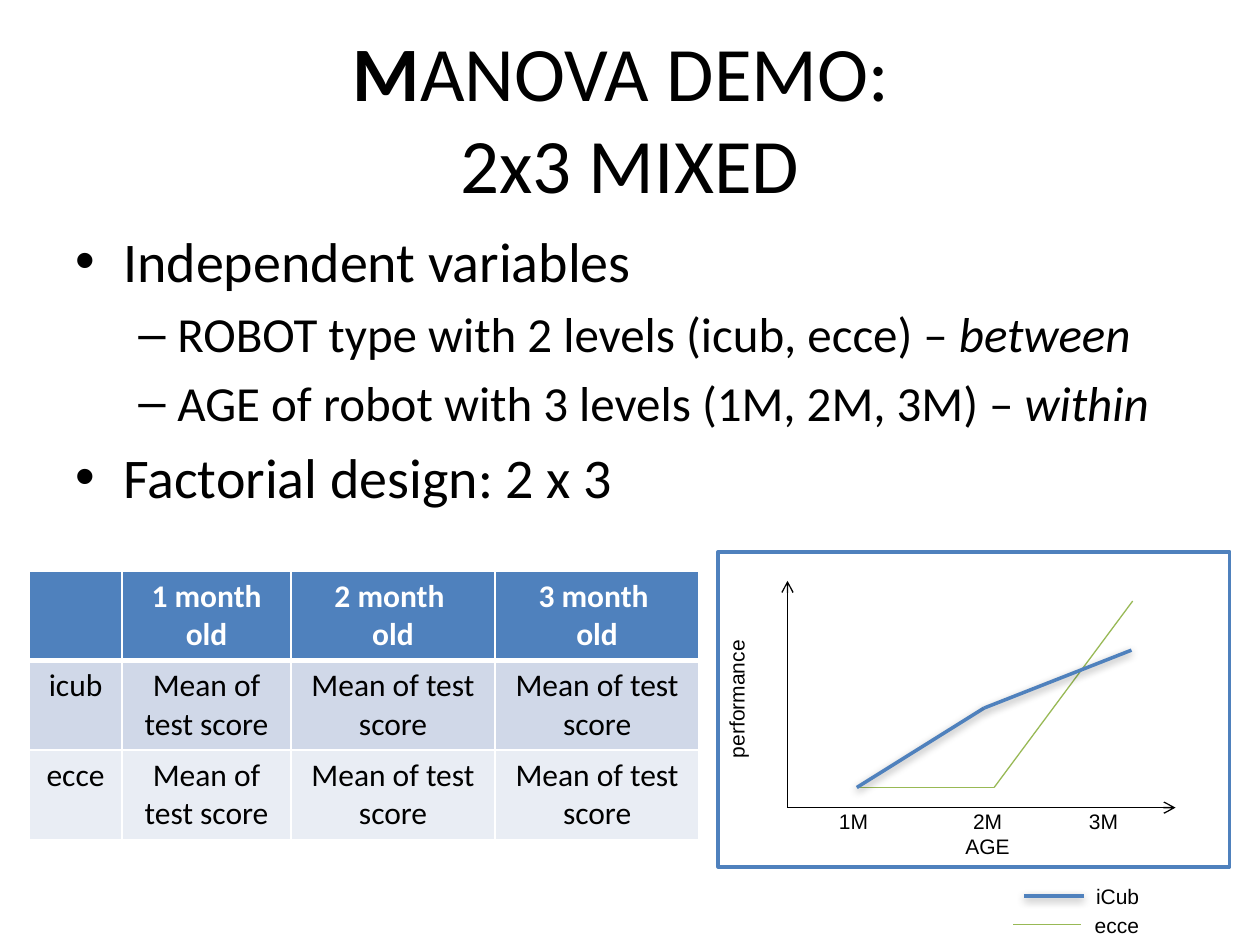
from dataclasses import dataclass
from typing import NamedTuple

from lxml import etree
from pptx import Presentation, util as u
from pptx.dml.color import RGBColor
from pptx.enum import shapes, text
from pptx.oxml.ns import qn

SCALE = 9144  # EMU in one px, 100 px to the inch


@dataclass(frozen=True)
class Theme:
    head: str = "Calibri"
    note: str = "Arial"
    black: str = "000000"
    white: str = "FFFFFF"
    blue: str = "4F81BD"
    green: str = "98B955"
    bands: tuple = ("4F81BD", "D0D8E8", "E9EDF4")
    title: int = 44
    main: int = 32
    sub: int = 28
    cell: int = 18
    small: int = 12


class Run(NamedTuple):
    words: str
    bold: bool = False
    slant: bool = False


class Point(NamedTuple):
    """A bulleted line of the body."""
    runs: tuple
    sub: bool = False


class Line(NamedTuple):
    start: tuple
    end: tuple
    color: str
    width: float = 0.75
    arrow: bool = False
    shade: bool = False


class Label(NamedTuple):
    area: tuple
    lines: tuple
    turn: int = 0
    tabs: tuple = ()


T = Theme()


def px(n: int) -> u.Emu:
    return u.Emu(n * SCALE)


def rgb(color: str) -> RGBColor:
    return RGBColor.from_string(color)


def node(base, tag: str, **attrs):
    item = etree.SubElement(base, qn(tag))
    for key, value in attrs.items():
        item.set(key, str(value))
    return item


def add_run(para, run: Run, size: int, face: str = T.head, color: str = T.black) -> None:
    part = para.add_run()
    part.text = run.words
    font = part.font
    font.name, font.size = face, u.Pt(size)
    font.bold, font.italic = run.bold, run.slant
    font.color.rgb = rgb(color)


def add_box(slide, area: tuple, wrap: bool = True):
    box = slide.shapes.add_textbox(*map(px, area))
    box.text_frame.word_wrap = wrap
    box.text_frame.auto_size = text.MSO_AUTO_SIZE.NONE
    return box


def next_para(frame, index: int):
    return frame.add_paragraph() if index else frame.paragraphs[0]


def add_line(slide, line: Line) -> None:
    link = slide.shapes.add_connector(
        shapes.MSO_CONNECTOR.STRAIGHT, *map(px, line.start + line.end))
    link.line.color.rgb = rgb(line.color)
    link.line.width = u.Pt(line.width)
    props = link._element.spPr
    if line.arrow:
        node(props.find(qn("a:ln")), "a:tailEnd", type="arrow")
    effects = node(props, "a:effectLst")
    if line.shade:
        shade = node(effects, "a:outerShdw", blurRad=u.Pt(5), dist=u.Pt(1.6),
                     dir=90 * 60000, rotWithShape=0)
        node(node(shade, "a:srgbClr", val=T.black), "a:alpha", val=38000)


def add_label(slide, label: Label) -> None:
    box = add_box(slide, label.area, wrap=False)
    box.rotation = label.turn
    for i, words in enumerate(label.lines):
        para = next_para(box.text_frame, i)
        if label.tabs:
            stops = node(para._p.get_or_add_pPr(), "a:tabLst")
            for stop in label.tabs:
                node(stops, "a:tab", pos=px(stop), algn="ctr")
        add_run(para, Run(words), T.small, T.note)


def add_title(slide) -> None:
    frame = add_box(slide, (50, 30, 900, 125)).text_frame
    frame.vertical_anchor = text.MSO_ANCHOR.MIDDLE
    para = frame.paragraphs[0]
    para.alignment = text.PP_ALIGN.CENTER
    add_run(para, Run("M", bold=True), T.title)
    add_run(para, Run("ANOVA DEMO: "), T.title)
    para.add_line_break()
    add_run(para, Run("2x3 MIXED"), T.title)


def add_body(slide, points: tuple) -> None:
    frame = add_box(slide, (50, 175, 900, 495)).text_frame
    for i, point in enumerate(points):
        para = next_para(frame, i)
        size, left, hang, mark = (
            (T.sub, 81, 31, "–") if point.sub else (T.main, 38, 38, "•"))
        para.level = int(point.sub)
        if i:
            para.space_before = u.Pt(size * 0.2)
        props = para._p.get_or_add_pPr()
        props.set("marL", str(px(left)))
        props.set("indent", str(px(-hang)))
        node(props, "a:buFont", typeface=T.note)
        node(props, "a:buChar", char=mark)
        for run in point.runs:
            add_run(para, run, size)


def add_edges(cell, top: int, base: int) -> None:
    props = cell._tc.get_or_add_tcPr()
    for side, width in (("L", 1), ("R", 1), ("T", top), ("B", base)):
        edge = node(props, f"a:ln{side}", w=u.Pt(width))
        node(node(edge, "a:solidFill"), "a:srgbClr", val=T.white)


def add_grid(slide, rows: tuple, widths: tuple) -> None:
    high = 70
    grid = slide.shapes.add_table(
        len(rows), len(widths), *map(px, (23, 453, sum(widths), high * len(rows)))).table
    for col, width in zip(grid.columns, widths):
        col.width = px(width)
    for r, row in enumerate(rows):
        grid.rows[r].height = px(high)
        for c, lines in enumerate(row):
            cell = grid.cell(r, c)
            add_edges(cell, 3 if r == 1 else 1, 1 if r else 3)
            cell.fill.solid()
            cell.fill.fore_color.rgb = rgb(T.bands[r])
            for i, words in enumerate(lines):
                para = next_para(cell.text_frame, i)
                para.alignment = text.PP_ALIGN.CENTER
                add_run(para, Run(words, bold=r == 0), T.cell,
                        color=T.black if r else T.white)


def add_panel(slide) -> None:
    panel = slide.shapes.add_shape(
        shapes.MSO_SHAPE.RECTANGLE, *map(px, (570, 438, 406, 250)))
    panel.shadow.inherit = False
    panel.fill.solid()
    panel.fill.fore_color.rgb = rgb(T.white)
    panel.line.color.rgb = rgb(T.blue)
    panel.line.width = u.Pt(2)


def main() -> None:
    deck = Presentation()
    deck.slide_width, deck.slide_height = px(1000), px(750)
    slide = deck.slides.add_slide(deck.slide_layouts[6])

    add_title(slide)
    add_body(slide, (
        Point((Run("Independent variables"),)),
        Point((Run("ROBOT type with 2 levels (icub, ecce) – "),
               Run("between", slant=True)), sub=True),
        Point((Run("AGE of robot with 3 levels (1M, 2M, 3M) – "),
               Run("within", slant=True)), sub=True),
        Point((Run("Factorial design: 2 x 3"),)),
    ))

    add_panel(slide)
    zero = (625, 641)
    axes = [Line(zero, end, T.black, arrow=True) for end in ((625, 461), (933, 641))]
    ecce = ((680, 625), (789, 625), (899, 477)), ((804, 734), (858, 734))
    icub = ((680, 625), (781, 562), (898, 516)), ((813, 711), (860, 711))
    plots = [Line(a, b, T.green) for path in ecce for a, b in zip(path, path[1:])]
    plots += [Line(a, b, T.blue, 2, shade=True)
              for path in icub for a, b in zip(path, path[1:])]
    for line in axes + plots:
        add_line(slide, line)
    for label in (
        Label((656, 637, 305, 50), ("1M\t2M\t3M", "\tAGE"), tabs=(118, 210)),
        Label((534, 533, 114, 43), ("performance",), turn=270),
        Label((860, 696, 55, 30), ("iCub",)),
        Label((859, 719, 56, 30), ("ecce",)),
    ):
        add_label(slide, label)

    score = (("Mean of test score",),) * 3
    add_grid(slide, (
        ((), ("1 month old",), ("2 month ", "old"), ("3 month ", "old")),
        (("icub",), *score),
        (("ecce",), *score),
    ), (74, 134, 162, 162))
    deck.save("out.pptx")


if __name__ == "__main__":
    main()
